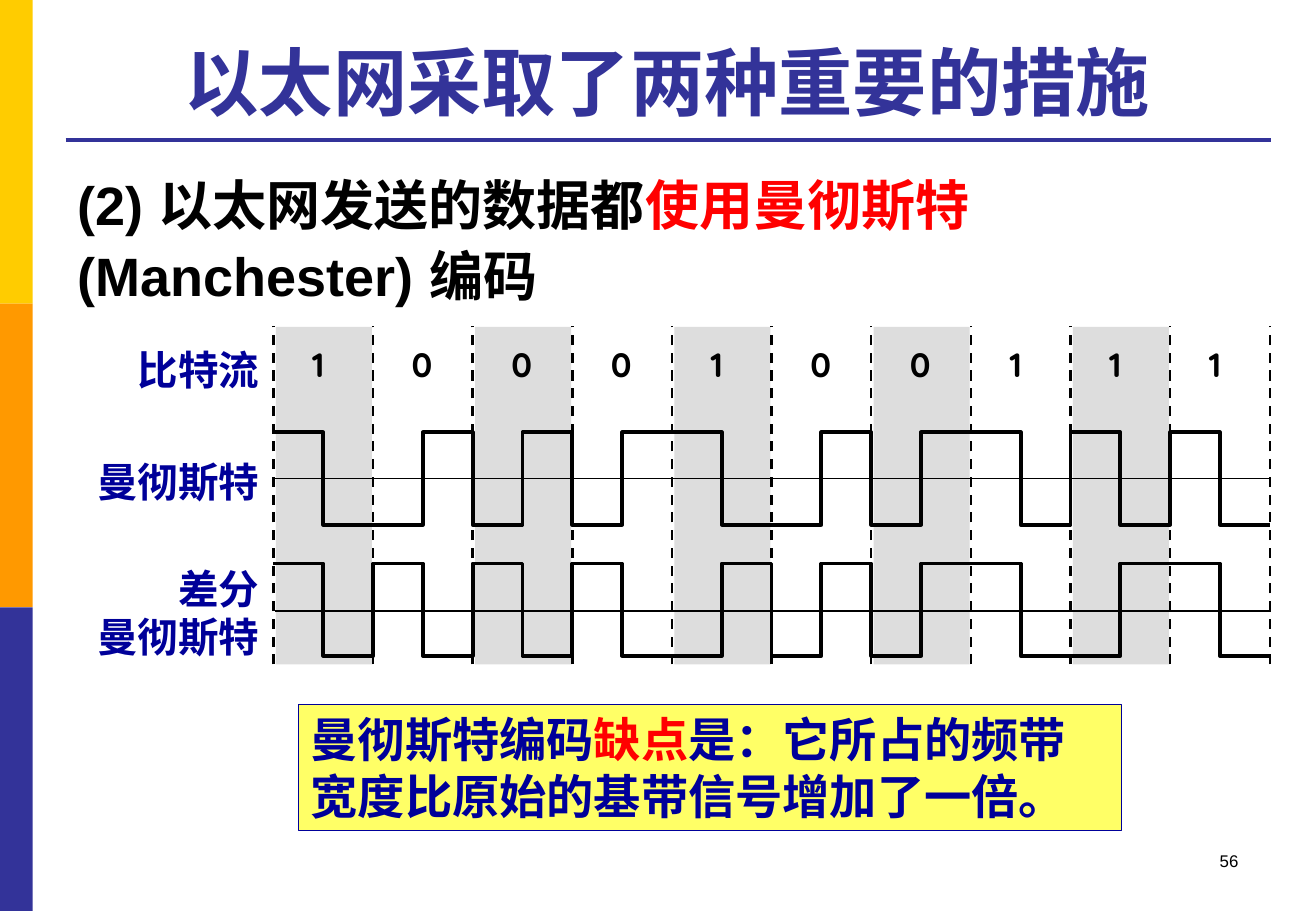
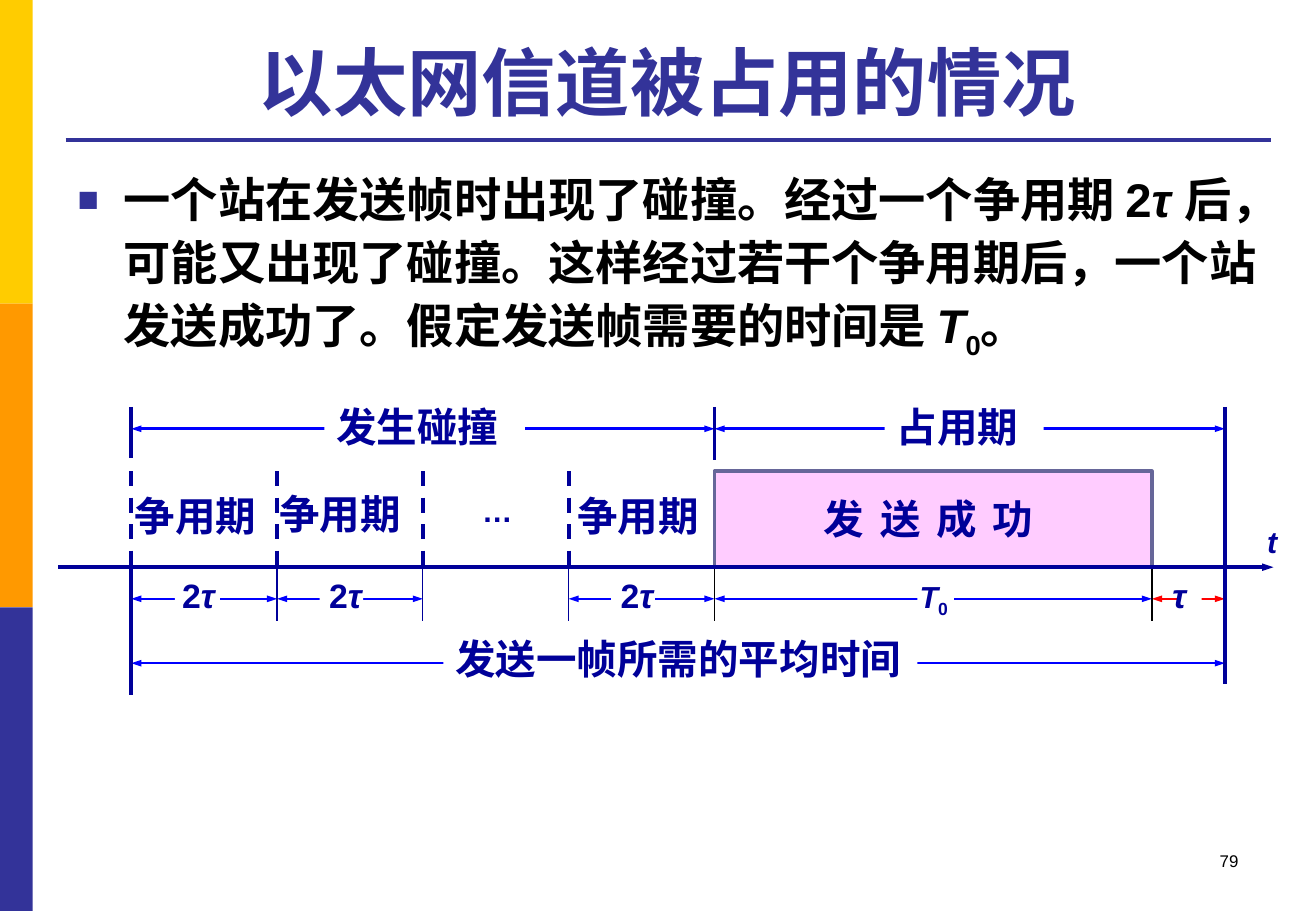
from lxml import etree
from pptx import Presentation
from pptx.dml.color import RGBColor
from pptx.enum.dml import MSO_LINE
from pptx.enum.shapes import MSO_CONNECTOR, MSO_SHAPE
from pptx.enum.text import MSO_ANCHOR, PP_ALIGN
from pptx.oxml.ns import qn
from pptx.util import Inches, Pt

STRAIGHT, RECTANGLE = MSO_CONNECTOR.STRAIGHT, MSO_SHAPE.RECTANGLE
DASH = MSO_LINE.DASH
LEFT, CENTER, RIGHT = PP_ALIGN.LEFT, PP_ALIGN.CENTER, PP_ALIGN.RIGHT
TOP, BOTTOM = MSO_ANCHOR.TOP, MSO_ANCHOR.BOTTOM
WIDTH, HEIGHT = 10.83, 7.5
COLORS = {name: RGBColor.from_string(code) for name, code in {
    "yellow": "FFCC00", "orange": "FF9900", "indigo": "333399",
    "navy": "000099", "blue": "0000FF", "red": "FF0000", "black": "000000",
    "white": "FFFFFF", "gray": "DDDDDD", "lemon": "FFFF66",
    "pink": "FFCCFF", "slate": "666699"}.items()}
LABEL = {"name": "Arial", "size": 24, "bold": True, "color": "navy"}
TITLE = {**LABEL, "size": 44, "color": "indigo"}
BODY = {**LABEL, "size": 32, "color": "black"}
BIT = {**BODY, "name": "Quicksand", "size": 20}
NUMBER = {**BODY, "size": 10, "bold": False}
ITALIC = {"italic": True}


def place(page, at, paragraphs=(), style=LABEL, fill=None, outline=None,
          align=LEFT, anchor=TOP, **spacing):
    at = [Inches(length) for length in at]
    if fill:
        box = page.shapes.add_shape(RECTANGLE, *at)
        box.shadow.inherit = False
        box.fill.solid()
        box.fill.fore_color.rgb = COLORS[fill]
        box.line.fill.background()
    else:
        box = page.shapes.add_textbox(*at)
    if outline:
        box.line.color.rgb = COLORS[outline]
        box.line.width = Pt(0.75)
    frame = box.text_frame
    frame.word_wrap = True
    frame.vertical_anchor = anchor
    for index, runs in enumerate(paragraphs):
        para = frame.add_paragraph() if index else frame.paragraphs[0]
        for key, value in {"alignment": align, **spacing}.items():
            setattr(para, key, value)
        for text, changes in runs:
            look = {**style, **changes}
            span = para.add_run()
            span.text = text
            span.font.color.rgb = COLORS[look.pop("color")]
            span.font.size = Pt(look.pop("size"))
            for key, value in look.pop("xml", {}).items():
                span._r.get_or_add_rPr().set(key, value)
            for key, value in look.items():
                setattr(span.font, key, value)
    return box


def draw_line(page, start, end, color, width, dash=None, heads=()):
    line = page.shapes.add_connector(
        STRAIGHT, *[Inches(length) for length in (*start, *end)])
    line.line.color.rgb = COLORS[color]
    line.line.width = Pt(width)
    if dash:
        line.line.dash_style = dash
    for head in heads:
        etree.SubElement(line.line._get_or_add_ln(), qn(f"a:{head}"),
                         type="triangle", w="sm", len="med")
    etree.SubElement(line._element.spPr, qn("a:effectLst"))


deck = Presentation()
deck.slide_width, deck.slide_height = Inches(WIDTH), Inches(HEIGHT)
BODY_AREA = (0.54, 1.31, 9.91, 5.4)
BODY_SPACING = {"line_spacing": 1.1, "space_before": Pt(6)}
pages = []
for title, number in (("以太网采取了两种重要的措施", "56"),
                      ("以太网信道被占用的情况", "79")):
    page = deck.slides.add_slide(deck.slide_layouts[6])
    for row, color in enumerate(("yellow", "orange", "indigo")):
        place(page, (0, row * HEIGHT / 3, 0.27, HEIGHT / 3), fill=color)
    draw_line(page, (0.54, 1.15), (10.46, 1.15), "indigo", 2.25)
    place(page, (0.54, 0.21, 9.91, 0.87), [[(title, {})]], TITLE,
          align=CENTER, anchor=BOTTOM)
    place(page, (7.76, 6.95, 2.53, 0.5), [[(number, {})]], NUMBER, align=RIGHT)
    pages.append(page)
coding, channel = pages

place(coding, BODY_AREA, [[
    ("(2) 以太网发送的数据都", {}), ("使用曼彻斯特 ", {"color": "red"}),
    ("(Manchester) 编码", {})]], BODY, **BODY_SPACING)

bits = "1000100111"
grid_left, cell = 2.25, 0.82
edges = [grid_left + cell * column for column in range(len(bits) + 1)]
for edge in edges[:-1:2]:
    place(coding, (edge + 0.02, 2.69, cell - 0.03, 2.78), fill="gray")
for edge in edges:
    draw_line(coding, (edge, 5.47), (edge, 2.68), "black", 1.5, DASH)
for bit, edge in zip(bits, edges):
    place(coding, (edge + 0.22, 2.78, 0.37, 0.43), [[(bit, {})]], BIT)

manchester, differential = [], []
level = 1
for bit in bits:
    first = int(bit)
    manchester += [first, 1 - first]
    first = level if bit == "1" else 1 - level
    level = 1 - first
    differential += [first, level]
for levels, high, axis in ((manchester, 3.56, 3.94), (differential, 4.64, 5.03)):
    points = []
    for half, level in enumerate(levels):
        height = Inches(high + 0.76 * (1 - level))
        points += [(Inches(grid_left + cell / 2 * step), height)
                   for step in (half, half + 1)]
    builder = coding.shapes.build_freeform(*points[0], scale=1.0)
    builder.add_line_segments(points[1:], close=False)
    wave = builder.convert_to_shape()
    wave.shadow.inherit = False
    wave.fill.background()
    wave.line.color.rgb = COLORS["black"]
    wave.line.width = Pt(2.25)
    draw_line(coding, (2.26, axis), (10.46, axis), "black", 1)

for top, height, lines in ((2.79, 0.5, ["比特流"]), (3.71, 0.5, ["曼彻斯特"]),
                           (4.59, 0.91, ["差分", "曼彻斯特"])):
    place(coding, (0.68, top, 1.55, height), [[(text, {})] for text in lines],
          align=RIGHT)
place(coding, (2.46, 5.8, 6.77, 1.04), [[
    ("曼彻斯特编码", {}), ("缺点", {"color": "red"}),
    ("是：它所占的频带宽度比原始的基带信号增加了一倍。", {})]],
    {**LABEL, "size": 28}, "lemon", "navy", space_before=Pt(6))

SUBSCRIPT = {"xml": {"baseline": "-25000"}}
body = place(channel, BODY_AREA, [[
    ("一个站在发送帧时出现了碰撞。经过一个争用期 2", {}), ("τ ", ITALIC),
    ("后，可能又出现了碰撞。这样经过若干个争用期后，"
     "一个站发送成功了。假定发送帧需要的时间是 ", {}),
    ("T", ITALIC), ("0", SUBSCRIPT), ("。", {})]],
    {**BODY, "size": 28}, **BODY_SPACING)
bullet = body.text_frame.paragraphs[0]._p.get_or_add_pPr()
bullet.set("marL", str(Inches(0.38)))
bullet.set("indent", str(-Inches(0.38)))
bullet_color = etree.SubElement(bullet, qn("a:buClr"))
etree.SubElement(bullet_color, qn("a:srgbClr"), val=str(COLORS["indigo"]))
etree.SubElement(bullet, qn("a:buSzPct"), val="75000")
etree.SubElement(bullet, qn("a:buFont"), typeface="Arial")
etree.SubElement(bullet, qn("a:buChar"), char="■")

axis = 4.67
start, second, third, last, sending, sent, end = [
    1.08 + 1.2 * slots for slots in (0, 1, 2, 3, 4, 7, 7.5)]
for left, right, height, color in (
        (start, end, 5.46, "blue"), (start, sending, 3.53, "blue"),
        (sending, end, 3.53, "blue"), (start, second, 4.93, "blue"),
        (second, third, 4.93, "blue"), (last, sending, 4.93, "blue"),
        (sending, sent, 4.93, "blue"), (sent, end, 4.93, "red")):
    draw_line(channel, (left, height), (right, height), color, 1.5,
              heads=("headEnd", "tailEnd"))
for left, width in ((1.44, 0.37), (2.63, 0.36), (5.03, 0.36),
                    (7.55, 0.3), (9.69, 0.2)):
    place(channel, (left, 4.78, width, 0.27), fill="white")

corners = [(Inches(left), Inches(top)) for left, top in (
    (sending, axis), (sending, 3.88), (sent, 3.88), (sent, axis))]
builder = channel.shapes.build_freeform(*corners[0], scale=1.0)
builder.add_line_segments(corners[1:], close=False)
success = builder.convert_to_shape()
success.shadow.inherit = False
success.fill.solid()
success.fill.fore_color.rgb = COLORS["pink"]
success.line.color.rgb = COLORS["slate"]
success.line.width = Pt(2.25)

for slot in (start, second, third, last):
    draw_line(channel, (slot, 3.88), (slot, axis), "navy", 2.25, DASH)
for slot, color in ((second, "navy"), (third, "navy"), (last, "navy"),
                    (sending, "black"), (sent, "black")):
    draw_line(channel, (slot, axis), (slot, 5.11), color, 0.75)
for slot, top, bottom in ((start, 3.35, 3.77), (start, axis, 5.72),
                          (sending, 3.35, 3.79), (end, 3.35, 5.63)):
    draw_line(channel, (slot, top), (slot, bottom), "navy", 2.25)

for text, left, top, width, fill in (
        ("争用期", 1.01, 3.99, 1.31, None), ("争用期", 2.2, 3.98, 1.31, None),
        ("争用期", 4.65, 3.99, 1.31, None), ("占用期", 7.28, 3.26, 1.31, "white"),
        ("发生碰撞", 2.67, 3.26, 1.65, "white"),
        ("发送一帧所需的平均时间", 3.65, 5.17, 3.9, "white")):
    place(channel, (left, top, width, 0.5), [[(text, {})]], fill=fill)
place(channel, (6.68, 4.02, 2.21, 0.5),
      [[("发 送 成 功", {"xml": {"spc": "200"}})]])

double_tau = [("2", {}), ("τ", ITALIC)]
for runs, left, top, width, size in (
        (double_tau, 1.4, 4.68, 0.53, 20), (double_tau, 2.61, 4.68, 0.53, 20),
        (double_tau, 5.01, 4.68, 0.53, 20), ([("τ", ITALIC)], 9.55, 4.68, 0.32, 20),
        ([("T", ITALIC), ("0", SUBSCRIPT)], 7.47, 4.71, 0.5, 18),
        ([("t", ITALIC)], 10.33, 4.26, 0.29, 18),
        ([("…", {})], 3.87, 4, 0.47, 18)):
    place(channel, (left, top, width, 0.44), [runs], {**LABEL, "size": size})
draw_line(channel, (0.48, axis), (10.48, axis), "navy", 2.25, heads=("tailEnd",))

deck.save("out.pptx")
